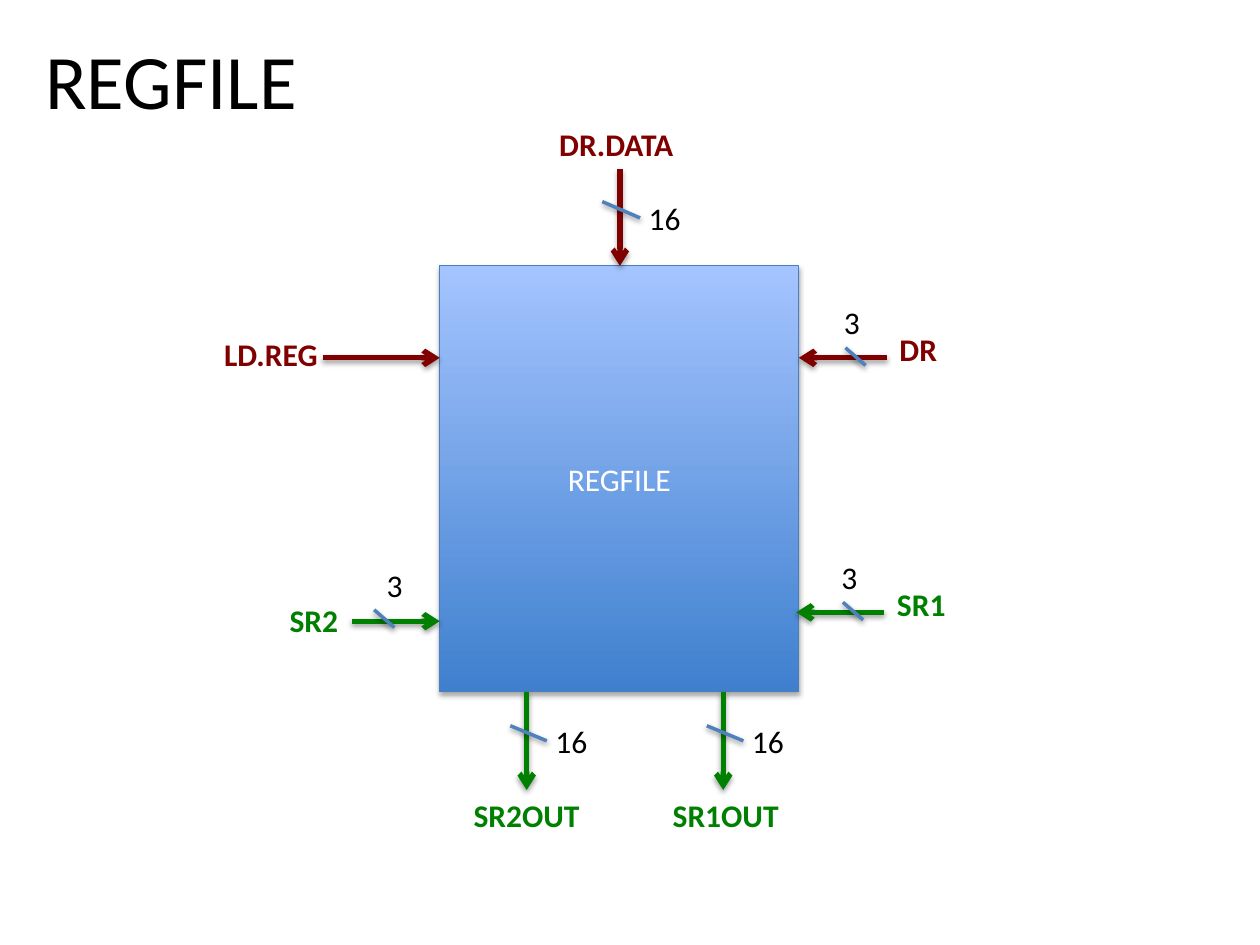
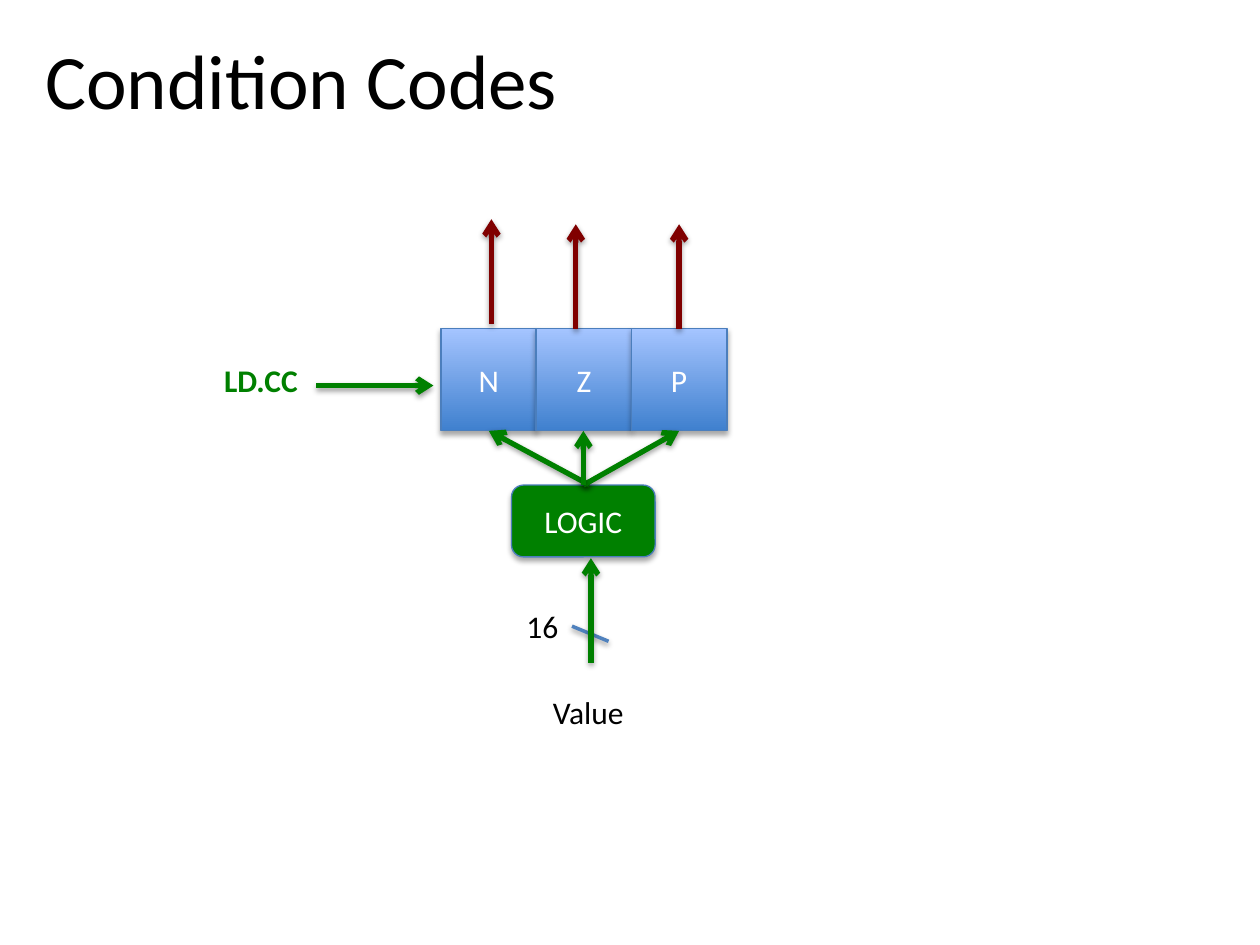
from lxml import etree
from pptx import Presentation
from pptx.dml.color import RGBColor
from pptx.enum import shapes, text
from pptx.oxml.ns import qn
from pptx.util import Inches, Pt

FONT = "Calibri"
BLACK = RGBColor(0x00, 0x00, 0x00)
WHITE = RGBColor(0xFF, 0xFF, 0xFF)
RED = RGBColor(0x80, 0x00, 0x00)
GREEN = RGBColor(0x00, 0x80, 0x00)
SLASH_BLUE = RGBColor(0x4F, 0x81, 0xBD)
OUTLINE_BLUE = RGBColor(0x4B, 0x7E, 0xBC)
DARK_BLUE = RGBColor(0x3F, 0x80, 0xCE)
LIGHT_BLUE = RGBColor(0xA4, 0xC4, 0xFF)

RECTANGLE = shapes.MSO_SHAPE.RECTANGLE
ROUNDED = shapes.MSO_SHAPE.ROUNDED_RECTANGLE


def add_shadow(shape, distance, opacity):
    """Soft black shadow straight below; call after fill and line are set."""
    effects = etree.SubElement(shape._element.spPr, qn("a:effectLst"))
    shadow = etree.SubElement(effects, qn("a:outerShdw"), blurRad=str(Pt(3.15)),
                              dist=str(Pt(distance)), dir="5400000", rotWithShape="0")
    color = etree.SubElement(shadow, qn("a:srgbClr"), val="000000")
    etree.SubElement(color, qn("a:alpha"), val=str(opacity * 1000))


def add_text(slide, words, left, top, width, height, size, color, bold=False):
    box = slide.shapes.add_textbox(Inches(left), Inches(top), Inches(width), Inches(height))
    paragraph = box.text_frame.paragraphs[0]
    paragraph.text = words
    paragraph.font.name = FONT
    paragraph.font.size = Pt(size)
    paragraph.font.bold = bold
    paragraph.font.color.rgb = color
    return box.text_frame


# Register file: boxes (name, preset, left, top, width, height, solid fill)
regfile_boxes = [("REGFILE", RECTANGLE, 3.49, 2.11, 2.85, 3.38, None)]

# Lines (x1, y1, x2, y2, colour); blue ones are bus slashes, the rest are arrows
regfile_lines = [
    (2.56, 2.84, 3.49, 2.84, RED),
    (4.92, 1.34, 4.92, 2.11, RED),
    (4.78, 1.6, 5.08, 1.73, SLASH_BLUE),
    (7.04, 2.84, 6.34, 2.84, RED),
    (7.02, 4.86, 6.32, 4.86, GREEN),
    (2.79, 4.93, 3.49, 4.93, GREEN),
]
# Labels (words, left, top, width, colour); black ones are plain, the rest bold
regfile_labels = [
    ("LD.REG", 1.68, 2.61, 0.96, RED),
    ("DR.DATA", 4.34, 0.94, 1.16, RED),
    ("16", 5.05, 1.53, 0.46, BLACK),
    ("DR", 7.04, 2.57, 0.5, RED),
    ("SR1", 7.02, 4.59, 0.59, GREEN),
    ("SR2", 2.2, 4.72, 0.59, GREEN),
    ("SR2OUT", 3.66, 6.27, 1.05, GREEN),
    ("SR1OUT", 5.24, 6.27, 1.05, GREEN),
]
# Three-bit register selectors: slash and bus width
for slash_x, slash_y, label_x in [(6.71, 2.76, 6.6), (6.69, 4.78, 6.58), (2.97, 4.84, 2.97)]:
    regfile_lines.append((slash_x, slash_y, slash_x + 0.16, slash_y + 0.14, SLASH_BLUE))
    regfile_labels.append(("3", label_x, slash_y - 0.4, 0.33, BLACK))
# Sixteen-bit outputs below the block
for x in (4.18, 5.74):
    regfile_lines.append((x, 5.49, x, 6.27, GREEN))
    regfile_lines.append((x - 0.13, 5.76, x + 0.16, 5.88, SLASH_BLUE))
    regfile_labels.append(("16", x + 0.13, 5.68, 0.46, BLACK))

# Condition codes: three one-bit registers fed by one logic block
code_boxes = [("LOGIC", ROUNDED, 4.06, 3.85, 1.14, 0.57, GREEN)]
for index, code in enumerate("NZP"):
    code_boxes.append((code, RECTANGLE, 3.5 + index * 0.755, 2.61, 0.76, 0.81, None))
code_lines = [
    (2.51, 3.06, 3.44, 3.06, GREEN),
    (4.54, 4.97, 4.83, 5.09, SLASH_BLUE),
    (4.69, 5.26, 4.69, 4.43, GREEN),
    (4.68, 3.85, 3.88, 3.42, GREEN),
    (4.63, 3.85, 5.39, 3.42, GREEN),
    (4.63, 3.85, 4.63, 3.42, GREEN),
]
for x, y in [(3.9, 2.57), (4.57, 2.61), (5.39, 2.61)]:
    code_lines.append((x, y, x, y - 0.83, RED))
code_labels = [
    ("LD.CC", 1.68, 2.82, 0.8, GREEN),
    ("16", 4.08, 4.77, 0.46, BLACK),
    ("Value", 4.29, 5.45, 0.78, BLACK),
]

presentation = Presentation()
presentation.slide_width = Inches(10)
presentation.slide_height = Inches(7.5)

for title, boxes, lines, labels in [
    ("REGFILE", regfile_boxes, regfile_lines, regfile_labels),
    ("Condition Codes", code_boxes, code_lines, code_labels),
]:
    slide = presentation.slides.add_slide(presentation.slide_layouts[6])

    # Title
    frame = add_text(slide, title, 0.26, 0, 9.5, 1.25, 44, BLACK)
    frame.word_wrap = True
    frame.vertical_anchor = text.MSO_ANCHOR.MIDDLE

    # Blocks
    for name, preset, left, top, width, height, solid in boxes:
        shape = slide.shapes.add_shape(preset, Inches(left), Inches(top),
                                       Inches(width), Inches(height))
        if solid is None:
            shape.fill.gradient()
            shape.fill.gradient_angle = 90
            for stop, color in zip(shape.fill.gradient_stops, (DARK_BLUE, LIGHT_BLUE)):
                stop.color.rgb = color
        else:
            shape.fill.solid()
            shape.fill.fore_color.rgb = solid
        shape.line.color.rgb = OUTLINE_BLUE
        shape.line.width = Pt(0.75)
        add_shadow(shape, 1.8, 35)
        shape.text_frame.vertical_anchor = text.MSO_ANCHOR.MIDDLE
        paragraph = shape.text_frame.paragraphs[0]
        paragraph.text = name
        paragraph.alignment = text.PP_ALIGN.CENTER
        paragraph.font.name = FONT
        paragraph.font.size = Pt(18)
        paragraph.font.color.rgb = WHITE

    # Arrows and bus slashes
    for x1, y1, x2, y2, color in lines:
        connector = slide.shapes.add_connector(shapes.MSO_CONNECTOR.STRAIGHT, Inches(x1),
                                               Inches(y1), Inches(x2), Inches(y2))
        connector.line.color.rgb = color
        connector.line.width = Pt(2 if color == SLASH_BLUE else 3)
        if color != SLASH_BLUE:
            outline = connector.line._get_or_add_ln()
            etree.SubElement(outline, qn("a:tailEnd"), type="arrow")
        add_shadow(connector, 1.6, 38)

    # Signal names and bus widths
    for words, left, top, width, color in labels:
        frame = add_text(slide, words, left, top, width, 0.4, 18, color, color != BLACK)
        frame.word_wrap = False
        frame.auto_size = text.MSO_AUTO_SIZE.SHAPE_TO_FIT_TEXT

presentation.save("out.pptx")
